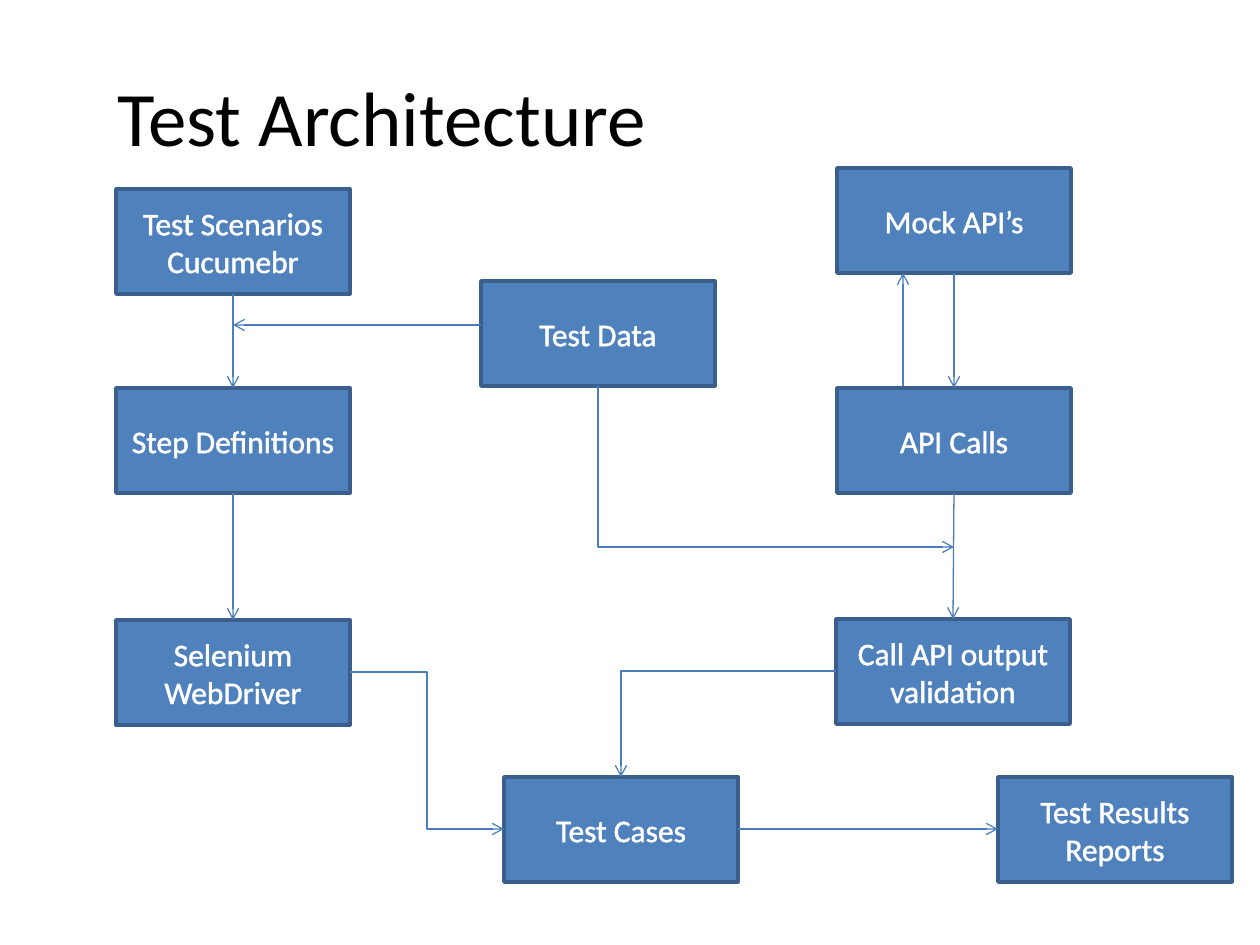
from dataclasses import dataclass

from lxml import etree
from pptx import Presentation
from pptx.dml.color import RGBColor
from pptx.enum.shapes import MSO_CONNECTOR, MSO_SHAPE
from pptx.enum.text import MSO_ANCHOR, PP_ALIGN
from pptx.oxml.ns import qn
from pptx.util import Emu, Pt

RECT = MSO_SHAPE.RECTANGLE
STRAIGHT, ELBOW = MSO_CONNECTOR.STRAIGHT, MSO_CONNECTOR.ELBOW
MIDDLE = MSO_ANCHOR.MIDDLE
LEFT, CENTER = PP_ALIGN.LEFT, PP_ALIGN.CENTER
PX = 914400 / 126
BOX_W, BOX_H = 234, 105
Point = tuple[int, int]


@dataclass(frozen=True)
class Theme:
    font: str = "Calibri"
    fill: str = "4F81BD"
    border: str = "3A5F8C"
    arrow: str = "4B7EBC"
    title: str = "000000"
    label: str = "FFFFFF"
    title_pt: float = 44
    label_pt: float = 18
    border_pt: float = 2
    arrow_pt: float = 0.75
    outline_pt: float = 1.45


@dataclass(frozen=True)
class Box:
    x: int
    y: int
    lines: tuple[str, ...]

    @property
    def top(self) -> Point:
        return self.x + BOX_W // 2, self.y

    @property
    def bottom(self) -> Point:
        return self.x + BOX_W // 2, self.y + BOX_H

    @property
    def left(self) -> Point:
        return self.x, self.y + BOX_H // 2

    @property
    def right(self) -> Point:
        return self.x + BOX_W, self.y + BOX_H // 2


@dataclass(frozen=True)
class Arrow:
    start: Point
    end: Point
    route: str = "straight"  # straight, across_down, down_across or step


THEME = Theme()


def px(n: float) -> Emu:
    return Emu(round(n * PX))


def rgb(value: str) -> RGBColor:
    return RGBColor.from_string(value)


def add_text(tf, lines, size: float, color: str, align, outline: float = 0) -> None:
    tf.word_wrap = True
    tf.vertical_anchor = MIDDLE
    for i, line in enumerate(lines):
        p = tf.paragraphs[0] if i == 0 else tf.add_paragraph()
        p.alignment = align
        r = p.add_run()
        r.text = line
        r.font.name, r.font.size = THEME.font, Pt(size)
        r.font.color.rgb = rgb(color)
        if outline:
            ln = etree.Element(qn("a:ln"), w=str(Pt(outline)))
            fill = etree.SubElement(ln, qn("a:solidFill"))
            etree.SubElement(fill, qn("a:srgbClr"), val=color)
            r.font._element.insert(0, ln)


def add_box(s, box: Box) -> None:
    sp = s.shapes.add_shape(RECT, px(box.x), px(box.y), px(BOX_W), px(BOX_H))
    sp.shadow.inherit = False
    sp.fill.solid()
    sp.fill.fore_color.rgb = rgb(THEME.fill)
    sp.line.color.rgb = rgb(THEME.border)
    sp.line.width = Pt(THEME.border_pt)
    add_text(sp.text_frame, box.lines, THEME.label_pt, THEME.label, CENTER,
             THEME.outline_pt)


def add_arrow(s, arrow: Arrow) -> None:
    (x1, y1), (x2, y2) = arrow.start, arrow.end
    turned = arrow.route == "down_across"
    if turned:  # swap the extents around the centre, then rotate by 270 degrees
        cx, cy, dx, dy = (x1 + x2) / 2, (y1 + y2) / 2, x2 - x1, y2 - y1
        x1, y1, x2, y2 = cx + dy / 2, cy - dx / 2, cx - dy / 2, cy + dx / 2
    kind = STRAIGHT if arrow.route == "straight" else ELBOW
    c = s.shapes.add_connector(kind, px(x1), px(y1), px(x2), px(y2))
    c.line.color.rgb = rgb(THEME.arrow)
    c.line.width = Pt(THEME.arrow_pt)
    sp_pr = c._element.spPr
    if turned:
        sp_pr.find(qn("a:xfrm")).set("rot", str(270 * 60000))
    if arrow.route in ("across_down", "down_across"):
        sp_pr.find(qn("a:prstGeom")).set("prst", "bentConnector2")
    etree.SubElement(sp_pr.find(qn("a:ln")), qn("a:tailEnd"), type="arrow")
    etree.SubElement(sp_pr, qn("a:effectLst"))


prs = Presentation()
prs.slide_width, prs.slide_height = px(1260), px(945)
s = prs.slides.add_slide(prs.slide_layouts[6])

# Title
title = s.shapes.add_textbox(px(105), px(37), px(1113), px(158))
add_text(title.text_frame, ["Test Architecture"], THEME.title_pt, THEME.title, LEFT)

# Boxes
scenarios = Box(116, 189, ("Test Scenarios", "Cucumebr"))
steps = Box(116, 388, ("Step Definitions",))
driver = Box(116, 620, ("Selenium WebDriver",))
cases = Box(504, 777, ("Test Cases",))
mocks = Box(837, 168, ("Mock API’s",))
calls = Box(837, 388, ("API Calls",))
data = Box(481, 281, ("Test Data",))
validation = Box(836, 619, ("Call API output validation",))
results = Box(998, 777, ("Test Results Reports",))
for box in (scenarios, steps, driver, cases, mocks, calls, data, validation, results):
    add_box(s, box)

# Arrows
DATA_Y, CHECK_Y, REPLY_X = 325, 547, 903
for arrow in (
    Arrow(scenarios.bottom, steps.top),
    Arrow((data.x, DATA_Y), (steps.top[0], DATA_Y)),
    Arrow(steps.bottom, driver.top),
    Arrow(mocks.bottom, calls.top),
    Arrow(calls.bottom, validation.top),
    Arrow(data.bottom, (calls.bottom[0], CHECK_Y), "down_across"),
    Arrow(driver.right, cases.left, "step"),
    Arrow(validation.left, cases.top, "across_down"),
    Arrow(cases.right, results.left),
    Arrow((REPLY_X, data.bottom[1]), (REPLY_X, mocks.bottom[1])),
):
    add_arrow(s, arrow)

prs.save("out.pptx")
